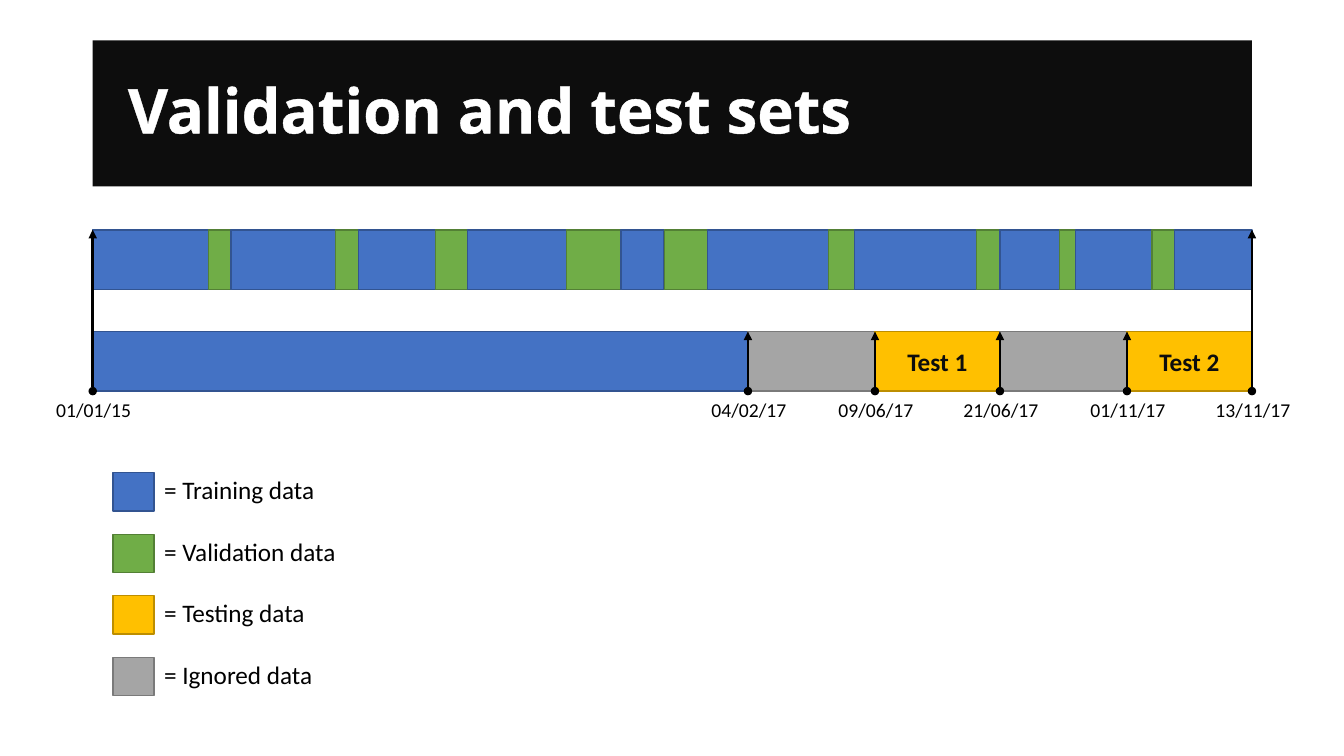
import dataclasses
import itertools

import lxml.etree
import pptx
import pptx.dml.color
import pptx.enum.shapes
import pptx.enum.text
import pptx.oxml.ns
import pptx.slide
import pptx.text.text
import pptx.util

# Grid: every column and row is a tenth of an inch
UNIT = pptx.util.Inches(0.1)
COLUMNS, ROWS = 133.33, 75
BAR_HEIGHT = 5.9
VALIDATION_TOP, TEST_TOP = 22.8, 32.9
TEST_BOTTOM = TEST_TOP + BAR_HEIGHT
LEGEND_TOP, LEGEND_STEP = 46.9, 6.1
LABEL_SHIFT = 4.6


@dataclasses.dataclass(frozen=True)
class Kind:
    """A kind of data and its colours."""
    label: str
    fill: str
    outline: str


@dataclasses.dataclass(frozen=True)
class Period:
    """A stretch of the test bar that begins on a date."""
    start: float
    date: str
    kind: Kind
    label: str = ""


TRAINING = Kind("= Training data", "4472C4", "325491")
VALIDATION = Kind("= Validation data", "70AD47", "538035")
TESTING = Kind("= Testing data", "FFC000", "BD8E00")
IGNORED = Kind("= Ignored data", "A5A5A5", "7A7A7A")

# Edges of the upper bar: training and validation take turns
EDGES = [9.2, 20.7, 22.9, 33.3, 35.6, 43.2, 46.4, 56.2, 61.6, 65.9, 70.2,
         82.2, 84.8, 96.9, 99.2, 105.1, 106.7, 114.3, 116.5, 124.2]
LEFT, RIGHT = EDGES[0], EDGES[-1]
PERIODS = [
    Period(LEFT, "01/01/15", TRAINING),
    Period(74.2, "04/02/17", IGNORED),
    Period(86.8, "09/06/17", TESTING, "Test 1"),
    Period(99.2, "21/06/17", IGNORED),
    Period(111.8, "01/11/17", TESTING, "Test 2"),
]
END_DATE = "13/11/17"


def grid(count: float) -> pptx.util.Emu:
    return pptx.util.Emu(round(count * UNIT))


def colour(value: str) -> pptx.dml.color.RGBColor:
    return pptx.dml.color.RGBColor.from_string(value)


def add_span(para: pptx.text.text._Paragraph, words: str, size: float, ink: str,
             bold: bool = False, face: str = "Calibri") -> pptx.text.text._Run:
    span = para.add_run()
    span.text = words
    span.font.name = face
    span.font.size = pptx.util.Pt(size)
    span.font.bold = bold
    span.font.color.rgb = colour(ink)
    return span


def add_block(page: pptx.slide.Slide, left: float, top: float, width: float,
              height: float, fill: str, outline: str = ""):
    box = page.shapes.add_shape(pptx.enum.shapes.MSO_SHAPE.RECTANGLE,
                                grid(left), grid(top), grid(width), grid(height))
    box.shadow.inherit = False
    box.fill.solid()
    box.fill.fore_color.rgb = colour(fill)
    if outline:
        box.line.color.rgb = colour(outline)
        box.line.width = pptx.util.Pt(1)
    else:
        box.line.fill.background()
    box.text_frame.vertical_anchor = pptx.enum.text.MSO_ANCHOR.MIDDLE
    return box


def add_label(page: pptx.slide.Slide, left: float, top: float, width: float,
              height: float, words: str, size: float) -> None:
    box = page.shapes.add_textbox(grid(left), grid(top), grid(width), grid(height))
    box.text_frame.word_wrap = True
    box.text_frame.auto_size = pptx.enum.text.MSO_AUTO_SIZE.SHAPE_TO_FIT_TEXT
    add_span(box.text_frame.paragraphs[0], words, size, "000000")


def add_marker(page: pptx.slide.Slide, column: float, top: float) -> None:
    marker = page.shapes.add_connector(
        pptx.enum.shapes.MSO_CONNECTOR.STRAIGHT,
        grid(column), grid(top), grid(column), grid(TEST_BOTTOM))
    marker.line.color.rgb = colour("000000")
    marker.line.width = pptx.util.Pt(2)
    line = marker.line._get_or_add_ln()
    for tag, ending in (("a:headEnd", "triangle"), ("a:tailEnd", "oval")):
        lxml.etree.SubElement(line, pptx.oxml.ns.qn(tag), type=ending)
    properties = marker._element.spPr
    lxml.etree.SubElement(properties, pptx.oxml.ns.qn("a:effectLst"))


def add_title(page: pptx.slide.Slide) -> None:
    box = add_block(page, LEFT, 4, RIGHT - LEFT, 14.5, "0D0D0D")
    frame = box.text_frame
    frame.word_wrap = True
    frame.margin_left = frame.margin_top = frame.margin_bottom = grid(3.5)
    frame.margin_right = grid(3.1)
    para = frame.paragraphs[0]
    para.alignment = pptx.enum.text.PP_ALIGN.LEFT
    para.line_spacing = 0.9
    span = add_span(para, "Validation and test sets", 44, "FFFFFF", True, "Open Sans")
    # Thin white outline around the letters
    outline = lxml.etree.Element(pptx.oxml.ns.qn("a:ln"), w=str(pptx.util.Pt(0.75)))
    solid = lxml.etree.SubElement(outline, pptx.oxml.ns.qn("a:solidFill"))
    lxml.etree.SubElement(solid, pptx.oxml.ns.qn("a:srgbClr"), val="FFFFFF")
    span.font._element.insert(0, outline)


def add_validation_bar(page: pptx.slide.Slide) -> None:
    kinds = itertools.cycle((TRAINING, VALIDATION))
    for (start, end), kind in zip(itertools.pairwise(EDGES), kinds):
        add_block(page, start, VALIDATION_TOP, end - start, BAR_HEIGHT,
                  kind.fill, kind.outline)


def add_test_bar(page: pptx.slide.Slide) -> None:
    edges = [period.start for period in PERIODS] + [RIGHT]
    dates = [period.date for period in PERIODS] + [END_DATE]
    for period, end in zip(PERIODS, edges[1:]):
        box = add_block(page, period.start, TEST_TOP, end - period.start,
                        BAR_HEIGHT, period.kind.fill, period.kind.outline)
        if period.label:
            para = box.text_frame.paragraphs[0]
            para.alignment = pptx.enum.text.PP_ALIGN.CENTER
            add_span(para, period.label, 18, "0D0D0D", True)
    # Dates and markers; the outer markers reach up to the upper bar
    for edge, date in zip(edges, dates):
        add_label(page, edge - LABEL_SHIFT, 39, 13.4, 3.4, date, 14)
        add_marker(page, edge, VALIDATION_TOP if edge in (LEFT, RIGHT) else TEST_TOP)


def add_legend(page: pptx.slide.Slide) -> None:
    for index, kind in enumerate((TRAINING, VALIDATION, TESTING, IGNORED)):
        top = LEGEND_TOP + index * LEGEND_STEP
        add_block(page, 11.2, top, 4.1, 3.8, kind.fill, kind.outline)
        add_label(page, 15.3, top - 0.3, 26.4, 4, kind.label, 18)


def main() -> None:
    deck = pptx.Presentation()
    deck.slide_width, deck.slide_height = grid(COLUMNS), grid(ROWS)
    page = deck.slides.add_slide(deck.slide_layouts[6])
    add_title(page)
    add_validation_bar(page)
    add_test_bar(page)
    add_legend(page)
    deck.save("out.pptx")


if __name__ == "__main__":
    main()
